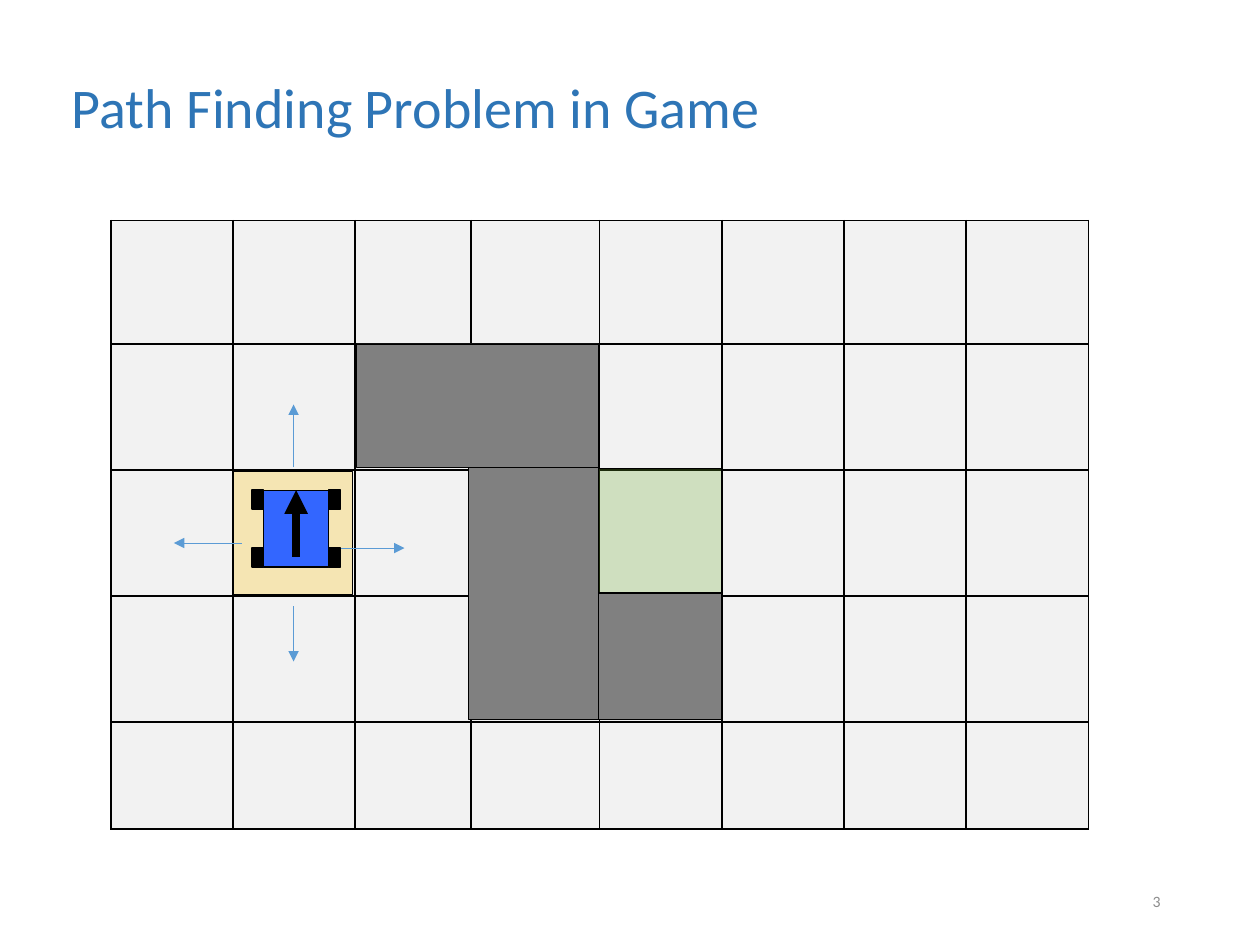
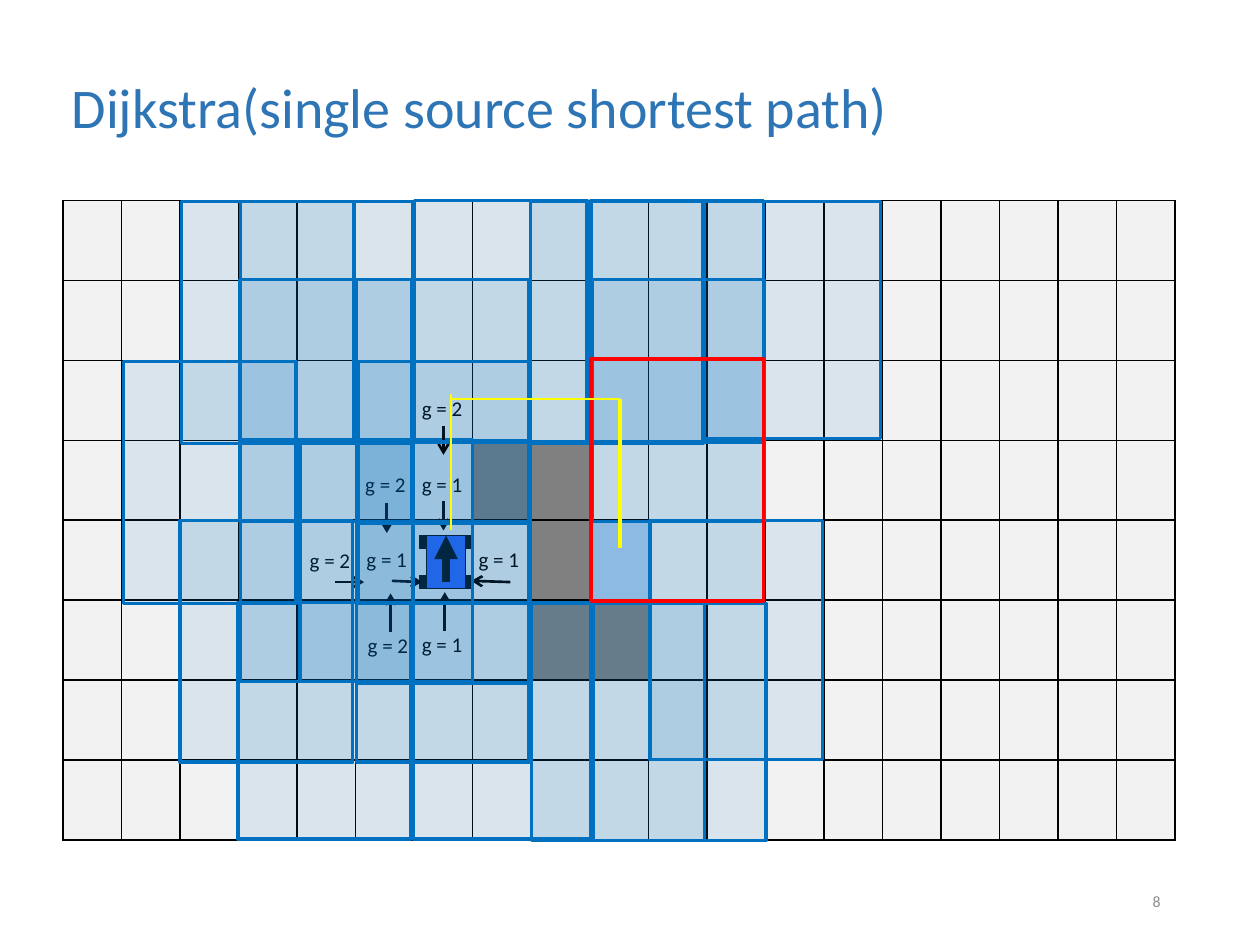
from lxml import etree
from pptx import Presentation
from pptx.dml.color import RGBColor
from pptx.enum import shapes, text
from pptx.oxml import ns
from pptx.util import Inches, Pt

COLORS = {
    "title": "2E75B6", "number": "8C8C8C", "ink": "000000", "floor": "F2F2F2",
    "wall": "808080", "goal": "9DC3E6", "start": "FFC000", "finish": "6EA92D",
    "move": "5B9BD5", "robot": "3366FF", "search": "0070C0", "found": "FF0000",
    "route": "FFFF00",
}


def rgb(name):
    return RGBColor.from_string(COLORS[name])


def child(parent, tag, **attributes):
    return etree.SubElement(parent, ns.qn(tag), attributes)


def write(frame, words, size, color="ink", align=None, anchor=text.MSO_ANCHOR.TOP, spacing=None):
    frame.word_wrap = True
    frame.vertical_anchor = anchor
    paragraph = frame.paragraphs[0]
    paragraph.alignment = align
    paragraph.line_spacing = spacing
    run = paragraph.add_run()
    run.text = words
    run.font.name = "Calibri"
    run.font.size = Pt(size)
    run.font.color.rgb = rgb(color)


class Deck:
    """Holds the shared style and the slide being drawn."""

    def __init__(self):
        self.presentation = Presentation()
        self.presentation.slide_width = Inches(10)
        self.presentation.slide_height = Inches(7.5)

    def start_slide(self, title, number):
        self.slide = self.presentation.slides.add_slide(self.presentation.slide_layouts[6])
        middle = text.MSO_ANCHOR.MIDDLE
        write(self.box(0.47, 0.25, 9, 1.25), title, 32, color="title", anchor=middle, spacing=0.9)
        write(self.box(7.06, 6.95, 2.25, 0.4), number, 9, color="number",
              align=text.PP_ALIGN.RIGHT, anchor=middle)

    def box(self, *place):
        return self.slide.shapes.add_textbox(*map(Inches, place)).text_frame

    def label(self, words, left, top):
        frame = self.box(left, top, 0.58, 0.3)
        write(frame, words, 12)
        frame.auto_size = text.MSO_AUTO_SIZE.SHAPE_TO_FIT_TEXT

    def rectangle(self, left, top, width, height, fill, line="ink", weight=0.5, opacity=None, group=None):
        shape = (group or self.slide).shapes.add_shape(
            shapes.MSO_SHAPE.RECTANGLE, *map(Inches, (left, top, width, height)))
        shape.shadow.inherit = False
        shape.fill.solid()
        shape.fill.fore_color.rgb = rgb(fill)
        if opacity:
            color = shape.element.spPr.find(ns.qn("a:solidFill"))[0]
            child(color, "a:alpha", val=str(opacity * 1000))
        shape.line.color.rgb = rgb(line)
        shape.line.width = Pt(weight)

    def line(self, start, end, color="ink", weight=1.5, head=None, group=None):
        connector = (group or self.slide).shapes.add_connector(
            shapes.MSO_CONNECTOR.STRAIGHT, *map(Inches, (*start, *end)))
        connector.line.color.rgb = rgb(color)
        connector.line.width = Pt(weight)
        if head:
            child(connector.line._get_or_add_ln(), "a:tailEnd", type=head)
        child(connector._element.spPr, "a:effectLst")

    def grid(self, left, top, columns, rows, special=None):
        frame = self.slide.shapes.add_table(
            len(rows), len(columns), *map(Inches, (left, top, sum(columns), sum(rows))))
        table = frame.table
        table.first_row = table.horz_banding = False
        for column, width in zip(table.columns, columns):
            column.width = Inches(width)
        for row, height in zip(table.rows, rows):
            row.height = Inches(height)
        for r in range(len(rows)):
            for c in range(len(columns)):
                self.cell(table.cell(r, c), (special or {}).get((r, c), "floor"))

    def cell(self, cell, fill):
        properties = cell._tc.get_or_add_tcPr()
        for side in "LRTB":
            border = child(properties, f"a:ln{side}", w=str(Pt(1)))
            child(child(border, "a:solidFill"), "a:srgbClr", val=COLORS["ink"])
        cell.fill.solid()
        cell.fill.fore_color.rgb = rgb(fill)

    def robot(self, left, top, width, height):
        group = self.slide.shapes.add_group_shape()
        wheel, tread = 0.13 * width, 0.245 * height
        self.rectangle(left + wheel, top, width - 2 * wheel, height, "robot", weight=0.75, group=group)
        for y in (top, top + height - tread):
            for x in (left, left + width - wheel):
                self.rectangle(x, y, wheel, tread, "ink", weight=0.75, group=group)
        center = left + width / 2
        self.line((center, top + 0.87 * height), (center, top), weight=4.5, head="triangle", group=group)

    def window(self, left, top, width=1.37, height=1.92, line="search"):
        self.rectangle(left, top, width, height, "search", line=line, weight=2, opacity=10)

    def step(self, cost, label_at, start, end):
        self.label(f"g = {cost}", *label_at)
        self.line(start, end, head="arrow")


def draw_problem(deck):
    deck.start_slide("Path Finding Problem in Game", "3")
    deck.grid(0.88, 1.75, [0.97, 0.97, 0.92, 1.02] + [0.97] * 4, [0.98, 1, 1, 1, 0.85])
    deck.rectangle(2.83, 2.73, 1.92, 0.98, "wall")
    deck.rectangle(3.72, 3.71, 1.03, 2, "wall")
    deck.rectangle(1.85, 3.74, 0.95, 0.98, "start", opacity=26)
    deck.rectangle(4.75, 3.72, 0.98, 0.98, "finish", opacity=26)
    moves = [((2.33, 3.71), (2.33, 3.21)), ((2.63, 4.35), (3.21, 4.35)),
             ((1.92, 4.31), (1.38, 4.31)), ((2.33, 4.81), (2.33, 5.25))]
    for start, end in moves:
        deck.line(start, end, color="move", weight=0.5, head="triangle")
    deck.rectangle(4.75, 4.71, 0.98, 1, "wall")
    deck.robot(2, 3.89, 0.7, 0.61)


def draw_dijkstra(deck):
    deck.start_slide("Dijkstra(single source shortest path)", "8")
    walls = [(3, 7), (3, 8), (4, 8), (5, 8), (5, 9)]
    deck.grid(0.5, 1.59, [8.83 / 19] * 19, [5.08 / 8] * 8,
              special={**dict.fromkeys(walls, "wall"), (4, 9): "goal"})
    deck.robot(3.33, 4.25, 0.42, 0.42)
    deck.window(2.83, 3.5)
    steps = [
        (1, (3.25, 3.69), (3.52, 3.98), (3.52, 4.21)),
        (1, (2.81, 4.29), (3.11, 4.61), (3.35, 4.62)),
        (1, (3.25, 4.96), (3.53, 5.01), (3.53, 4.7)),
        (1, (3.7, 4.29), (4.05, 4.62), (3.74, 4.61)),
        (2, (2.8, 3.69), (3.07, 3.99), (3.07, 4.23)),
        (2, (2.82, 4.97), (3.1, 5.02), (3.1, 4.71)),
        (2, (2.36, 4.3), (2.66, 4.62), (2.89, 4.62)),
    ]
    for step in steps:
        deck.step(*step)
    deck.window(2.38, 3.49)
    deck.window(2.84, 2.87)
    deck.step(2, (3.25, 3.09), (3.52, 3.38), (3.52, 3.61))
    windows = [
        (2.83, 4.15, 1.37, 1.9), (1.91, 3.49), (2.83, 2.22), (1.9, 2.22), (1.43, 4.13),
        (3.29, 1.59), (1.91, 1.6), (1.44, 1.6), (0.98, 2.87), (3.28, 4.78, 1.41, 1.88),
        (4.21, 1.6), (4.22, 4.79, 1.37, 1.88), (1.89, 4.78, 1.37, 1.88), (4.69, 1.59),
        (5.59, 1.6, 1.4, 1.88), (4.71, 4.79, 1.37, 1.88), (5.16, 4.13, 1.37, 1.9), (4.7, 2.22),
    ]
    for window in windows:
        deck.window(*window)
    deck.window(4.69, 2.85, line="found")
    deck.line((3.58, 4.21), (3.58, 3.13), color="route", weight=1.25)
    deck.line((3.58, 3.17), (4.92, 3.17), color="route", weight=1.25)
    deck.line((4.92, 3.17), (4.92, 4.35), color="route", weight=2)


deck = Deck()
draw_problem(deck)
draw_dijkstra(deck)
deck.presentation.save("out.pptx")
